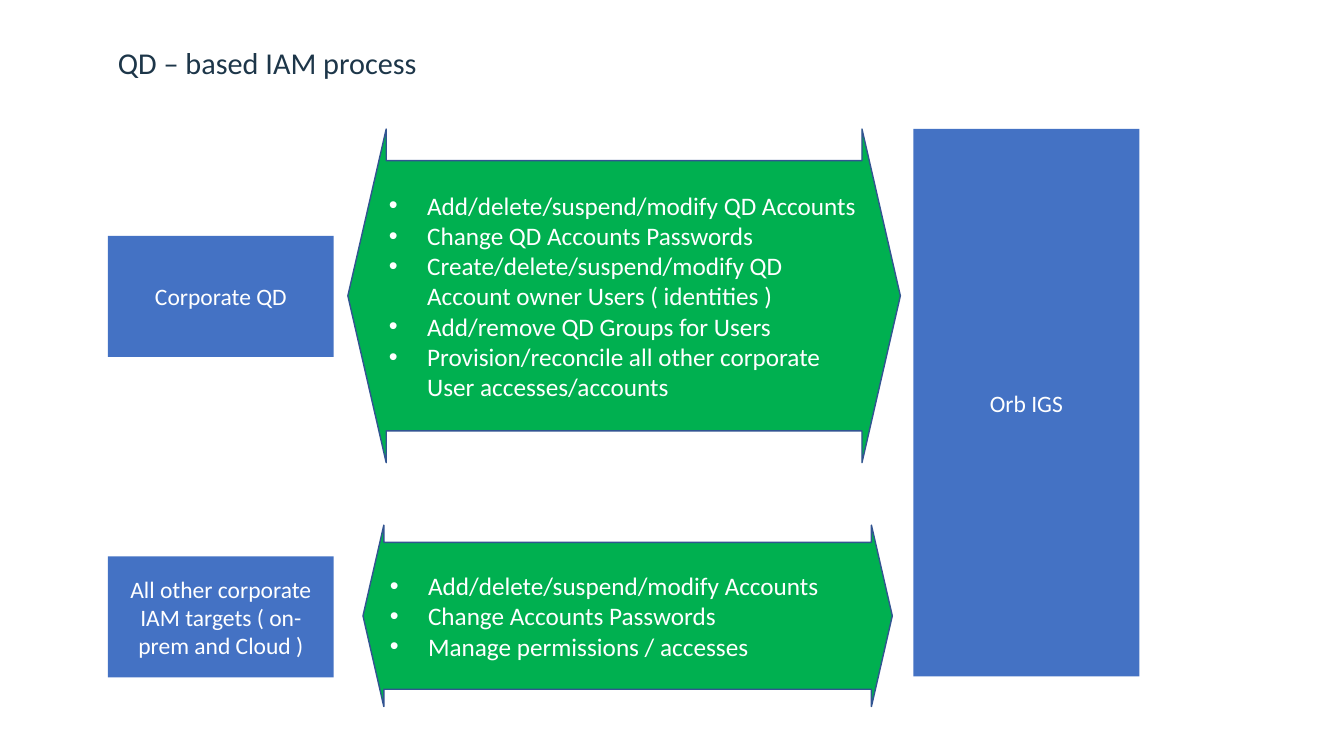
from lxml import etree
from pptx import Presentation
from pptx.dml.color import RGBColor as RGB
from pptx.enum.shapes import MSO_SHAPE as Kind
from pptx.enum.text import MSO_ANCHOR as Anchor, PP_ALIGN as Align
from pptx.oxml.ns import qn
from pptx.util import Inches, Pt

HUES = {"title": "1D3649", "box": "4472C4", "arrow": "00B050",
        "edge": "325491", "text": "FFFFFF"}

deck = Presentation()
deck.slide_width, deck.slide_height = Inches(13.33), Inches(7.5)
slide = deck.slides.add_slide(deck.slide_layouts[6])


def write(shape, *lines, size, hue="text", align=Align.LEFT, space=1.0, bullet=False):
    """Put one paragraph per line in the shape, centred vertically."""
    frame = shape.text_frame
    frame.word_wrap = True
    frame.vertical_anchor = Anchor.MIDDLE
    frame.text = "\n".join(lines)
    for para in frame.paragraphs:
        para.alignment = align
        para.line_spacing = space
        para.font.size = Pt(size)
        para.font.name = "Calibri"
        para.font.color.rgb = RGB.from_string(HUES[hue])
        if bullet:
            props = para._p.get_or_add_pPr()
            props.set("marL", str(Inches(0.38)))
            props.set("indent", str(Inches(-0.38)))
            mark = etree.Element(qn("a:buChar"), char="•")
            font = etree.Element(qn("a:buFont"), typeface="Arial")
            spot = props.find(qn("a:defRPr"))
            spot.addprevious(font)
            spot.addprevious(mark)


def draw(kind, spot, hue):
    """Add a filled shape without shadow or outline."""
    shape = slide.shapes.add_shape(kind, *map(Inches, spot))
    shape.shadow.inherit = False
    shape.fill.solid()
    shape.fill.fore_color.rgb = RGB.from_string(HUES[hue])
    shape.line.fill.background()
    return shape


title = slide.shapes.add_textbox(Inches(1.07), Inches(0.25), Inches(10.99), Inches(0.79))
write(title, "QD – based IAM process", size=21.6, hue="title", space=0.9)

boxes = [
    (1.07, 2.34, 1.2, "Corporate QD"),
    (9.06, 1.28, 5.43, "Orb IGS"),
    (1.07, 5.52, 1.2, "All other corporate IAM targets ( on-prem and Cloud )"),
]
for left, top, high, label in boxes:
    box = draw(Kind.RECTANGLE, (left, top, 2.24, high), "box")
    write(box, label, size=16.8, align=Align.CENTER)

arrows = [
    ((3.45, 1.28, 5.48, 3.31), [
        "Add/delete/suspend/modify QD Accounts",
        "Change QD Accounts Passwords",
        "Create/delete/suspend/modify QD Account owner Users ( identities )",
        "Add/remove QD Groups for Users",
        "Provision/reconcile all other corporate User accesses/accounts",
    ]),
    ((3.6, 5.21, 5.25, 1.8), [
        "Add/delete/suspend/modify Accounts",
        "Change Accounts Passwords",
        "Manage permissions / accesses",
    ]),
]
for spot, tasks in arrows:
    arrow = draw(Kind.LEFT_RIGHT_ARROW, spot, "arrow")
    arrow.adjustments[0] = 0.81
    arrow.adjustments[1] = 0.115
    arrow.line.color.rgb = RGB.from_string(HUES["edge"])
    arrow.line.width = Pt(1)
    write(arrow, *tasks, size=18, bullet=True)

deck.save("out.pptx")
